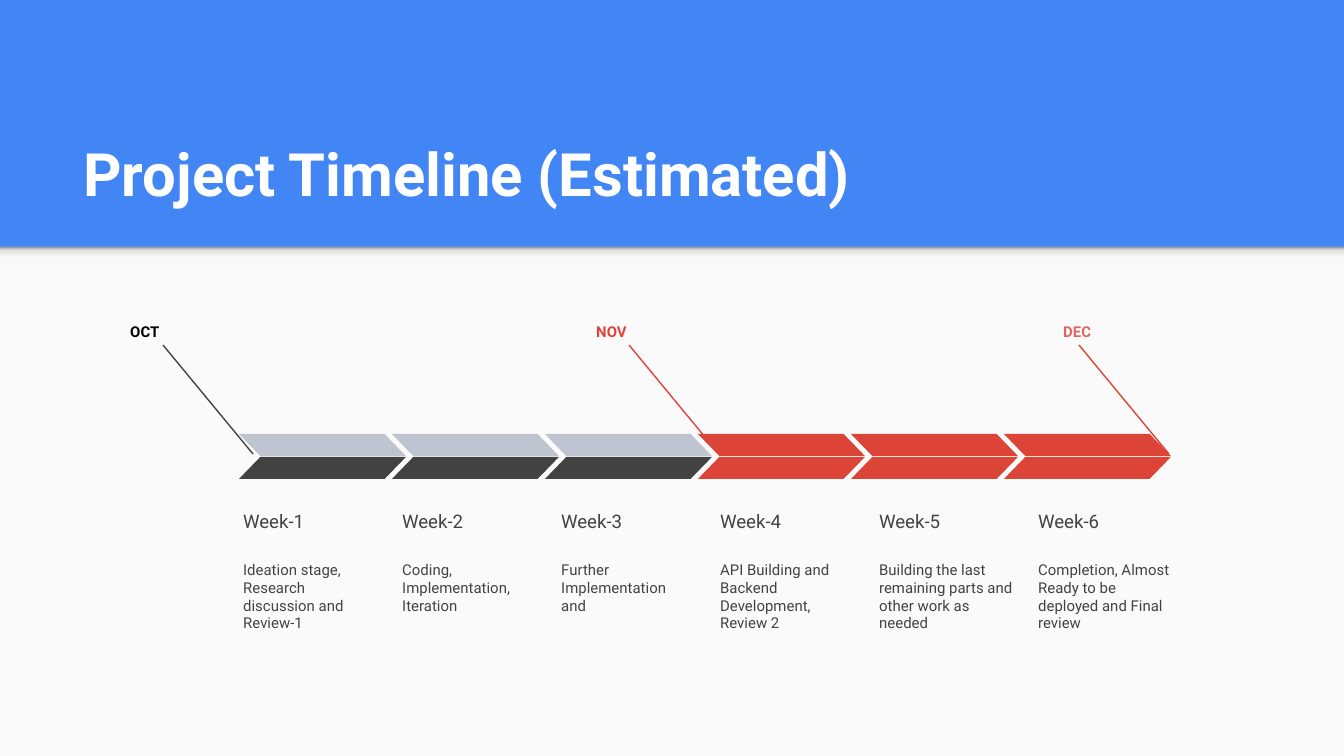
from lxml import etree
from pptx import Presentation
from pptx.dml.color import RGBColor
from pptx.enum.shapes import MSO_CONNECTOR, MSO_SHAPE
from pptx.enum.text import MSO_ANCHOR, MSO_AUTO_SIZE, PP_ALIGN
from pptx.oxml.ns import qn
from pptx.util import Pt

RECT, SLANT = MSO_SHAPE.RECTANGLE, MSO_SHAPE.PARALLELOGRAM
STRAIGHT = MSO_CONNECTOR.STRAIGHT
TOP, BOTTOM = MSO_ANCHOR.TOP, MSO_ANCHOR.BOTTOM
PX = 9144000 / 1344
COLORS = {
    "blue": "4285F4", "panel": "FAFAFA", "white": "FFFFFF", "black": "000000",
    "text": "434343", "dark": "424242", "slate": "55688B",
    "red": "DB4437", "pink": "E06666",
}
SHADOW = [(0, "F9F9F9"), (36, "F9F9F9"), (80, "DEDEDE"), (100, "999999")]
MONTHS = [
    ("OCT", 117, "black", 163, "text"),
    ("NOV", 583, "red", 629, "red"),
    ("DEC", 1050, "pink", 1079, "red"),
]
WEEKS = [
    "Ideation stage, Research discussion and Review-1",
    "Coding, Implementation, Iteration",
    "Further Implementation and",
    "API Building and Backend Development, Review 2",
    "Building the last remaining parts and other work as needed",
    "Completion, Almost Ready to be deployed and Final review",
]

prs = Presentation()
prs.slide_width, prs.slide_height = round(1344 * PX), round(756 * PX)
s = prs.slides.add_slide(prs.slide_layouts[5])
s.background.fill.solid()
s.background.fill.fore_color.rgb = RGBColor.from_string(COLORS["blue"])


def add_shape(kind, x, y, w, h, color):
    sp = s.shapes.add_shape(kind, *[round(v * PX) for v in (x, y, w, h)])
    sp.shadow.inherit = False
    sp.fill.solid()
    sp.fill.fore_color.rgb = RGBColor.from_string(COLORS[color])
    sp.line.fill.background()
    return sp


def put_text(sp, box, text, size, color, bold=False, anchor=TOP):
    sp.left, sp.top, sp.width, sp.height = [round(v * PX) for v in box]
    tf = sp.text_frame
    tf.word_wrap = True
    tf.auto_size = MSO_AUTO_SIZE.NONE
    tf.vertical_anchor = anchor
    tf.margin_left = tf.margin_right = tf.margin_top = tf.margin_bottom = 91440
    p = tf.paragraphs[0]
    p.text = text
    p.alignment = PP_ALIGN.LEFT
    p.font.name, p.font.size, p.font.bold = "Roboto", Pt(size), bold
    p.font.color.rgb = RGBColor.from_string(COLORS[color])
    return p


add_shape(RECT, 0, 247, 1344, 509, "panel")
shade = add_shape(RECT, 0, 247, 1344, 16, "panel")
shade.fill.gradient()
shade.fill.gradient_angle = 90
stops = shade._element.spPr.find(".//" + qn("a:gsLst"))
for stop in list(stops):
    stops.remove(stop)
for pos, color in SHADOW:
    stop = etree.SubElement(stops, qn("a:gs"), pos=str(pos * 1000))
    etree.SubElement(stop, qn("a:srgbClr"), val=color)

put_text(s.shapes.title, (70, 109, 1208, 113), "Project Timeline (Estimated)",
         32, "white", True, BOTTOM)

for i, task in enumerate(WEEKS):
    x = 230 + 159 * i
    tb = s.shapes.add_textbox(0, 0, 0, 0)
    put_text(tb, (x, 480, 160, 66), f"Week-{i + 1}", 10, "text", anchor=BOTTOM)
    tb = s.shapes.add_textbox(0, 0, 0, 0)
    p = put_text(tb, (x, 547, 160, 109), task, 8, "text" if i < 3 else "dark")
    p.space_after = Pt(16)

    x = 239 + 153 * i
    upper = add_shape(SLANT, x, 434, 167, 22, "slate" if i < 3 else "red")
    lower = add_shape(SLANT, x, 457, 167, 22, "dark" if i < 3 else "red")
    upper.adjustments[0] = lower.adjustments[0] = 0.97
    upper._element.spPr.xfrm.set("flipH", "1")
    if i < 3:
        rgb = upper._element.spPr.find(".//" + qn("a:srgbClr"))
        etree.SubElement(rgb, qn("a:alpha"), val="36000")

for month, x, color, line_x, line_color in MONTHS:
    tb = s.shapes.add_textbox(0, 0, 0, 0)
    put_text(tb, (x, 309, 75, 35), month, 8, color, True)
    ends = (line_x, 345, line_x + 90, 454)
    line = s.shapes.add_connector(STRAIGHT, *[round(v * PX) for v in ends])
    line.line.color.rgb = RGBColor.from_string(COLORS[line_color])
    line.line.width = Pt(0.75)
    etree.SubElement(line._element.spPr, qn("a:effectLst"))

prs.save("out.pptx")
